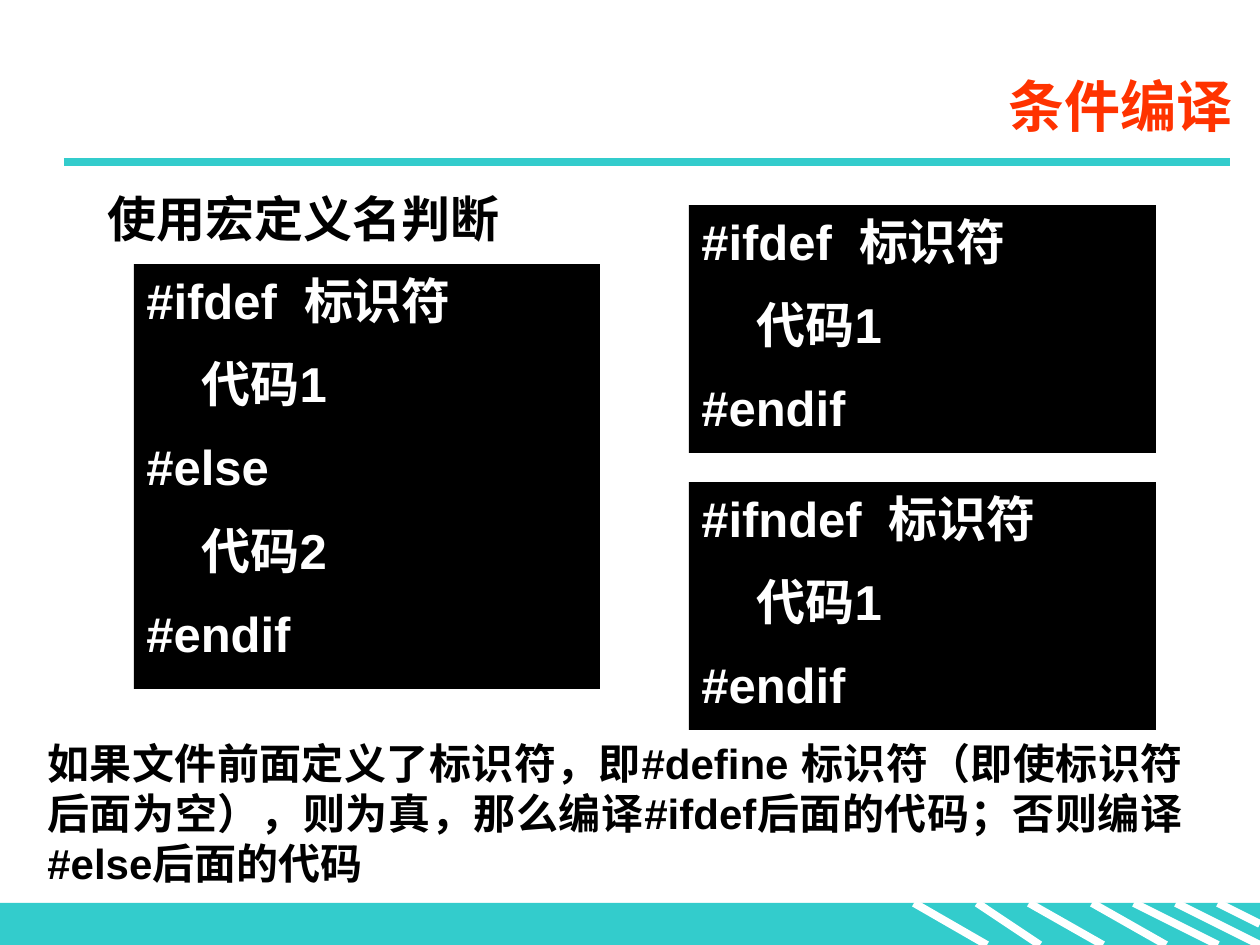
from dataclasses import dataclass

from lxml import etree
from pptx import Presentation
from pptx.dml.color import RGBColor
from pptx.enum.shapes import MSO_CONNECTOR, MSO_SHAPE
from pptx.enum.text import MSO_ANCHOR, MSO_AUTO_SIZE, PP_ALIGN
from pptx.oxml.ns import qn
from pptx.util import Emu, Pt

RECTANGLE = MSO_SHAPE.RECTANGLE
STRAIGHT = MSO_CONNECTOR.STRAIGHT
TOP, MIDDLE = MSO_ANCHOR.TOP, MSO_ANCHOR.MIDDLE
LEFT, RIGHT, JUSTIFY = PP_ALIGN.LEFT, PP_ALIGN.RIGHT, PP_ALIGN.JUSTIFY
NO_FIT = MSO_AUTO_SIZE.NONE

PX_PER_INCH = 126
PAGE_WIDTH, PAGE_HEIGHT = 1260, 945
FOOTER_TOP = 903


@dataclass(frozen=True)
class Theme:
    font: str = "Arial"
    accent: str = "33CCCC"
    title: str = "FF3300"
    dark: str = "000000"
    light: str = "FFFFFF"
    title_size: int = 32
    code_size: int = 28
    note_size: int = 24
    rule_width: float = 4.5


@dataclass(frozen=True)
class Area:
    left: int
    top: int
    width: int
    height: int


@dataclass(frozen=True)
class CodeBlock:
    area: Area
    lines: tuple[str, ...]


@dataclass(frozen=True)
class Stripe:
    left: int
    right: int
    bottom: int = PAGE_HEIGHT


THEME = Theme()

STRIPES = (
    Stripe(914, 987),
    Stripe(977, 1040),
    Stripe(1029, 1103),
    Stripe(1092, 1166),
    Stripe(1134, 1218),
    Stripe(1176, PAGE_WIDTH),
    Stripe(1218, PAGE_WIDTH, 924),
)

CODE_BLOCKS = (
    CodeBlock(Area(134, 264, 466, 425),
              ("#ifdef  标识符", "     代码1", "#else", "     代码2", "#endif")),
    CodeBlock(Area(689, 205, 467, 248),
              ("#ifdef  标识符", "     代码1", "#endif")),
    CodeBlock(Area(689, 482, 467, 248),
              ("#ifndef  标识符", "     代码1", "#endif")),
)

NOTE = ("如果文件前面定义了标识符，即#define 标识符（即使标识符后面为空），"
        "则为真，那么编译#ifdef后面的代码；否则编译#else后面的代码")


def px(value: int) -> Emu:
    return Emu(round(value * 914400 / PX_PER_INCH))


def color(value: str) -> RGBColor:
    return RGBColor.from_string(value)


def place(box, area: Area) -> None:
    box.left, box.top = px(area.left), px(area.top)
    box.width, box.height = px(area.width), px(area.height)


def write(box, lines: tuple[str, ...], *, size: int, ink: str,
          align=LEFT, anchor=TOP, gap: int = 0) -> None:
    frame = box.text_frame
    frame.word_wrap = True
    frame.auto_size = NO_FIT
    frame.vertical_anchor = anchor
    for index, line in enumerate(lines):
        para = frame.paragraphs[0] if index == 0 else frame.add_paragraph()
        properties = para._p.get_or_add_pPr()
        properties.set("marL", "0")
        properties.set("indent", "0")
        etree.SubElement(properties, qn("a:buNone"))
        para.alignment = align
        para.space_before = Pt(gap if index else 0)
        span = para.add_run()
        span.text = line
        span.font.name = THEME.font
        span.font.size = Pt(size)
        span.font.bold = True
        span.font.color.rgb = color(ink)


def add_rectangle(page, area: Area, fill: str):
    box = page.shapes.add_shape(RECTANGLE, px(area.left), px(area.top),
                                px(area.width), px(area.height))
    box.shadow.inherit = False
    box.fill.solid()
    box.fill.fore_color.rgb = color(fill)
    box.line.fill.background()
    return box


def add_rule(page, start: tuple[int, int], end: tuple[int, int], ink: str) -> None:
    rule = page.shapes.add_connector(STRAIGHT, *map(px, start + end))
    rule.line.color.rgb = color(ink)
    rule.line.width = Pt(THEME.rule_width)
    etree.SubElement(rule._element.spPr, qn("a:effectLst"))


def add_code(page, block: CodeBlock) -> None:
    box = add_rectangle(page, block.area, THEME.dark)
    write(box, block.lines, size=THEME.code_size, ink=THEME.light,
          gap=THEME.code_size // 2)


def main() -> None:
    deck = Presentation()
    deck.slide_width, deck.slide_height = px(PAGE_WIDTH), px(PAGE_HEIGHT)
    page = deck.slides.add_slide(deck.slide_layouts[1])

    # Footer band with slanted stripes, and the rule under the title
    add_rectangle(page, Area(0, FOOTER_TOP, PAGE_WIDTH, PAGE_HEIGHT - FOOTER_TOP),
                  THEME.accent)
    for stripe in STRIPES:
        add_rule(page, (stripe.left, FOOTER_TOP), (stripe.right, stripe.bottom),
                 THEME.light)
    add_rule(page, (64, 162), (1230, 162), THEME.accent)

    # Title and subheading
    title, body = page.shapes.title, page.placeholders[1]
    place(title, Area(174, 55, 1071, 100))
    write(title, ("条件编译",), size=THEME.title_size, ink=THEME.title,
          align=RIGHT, anchor=MIDDLE)
    place(body, Area(95, 182, 1071, 635))
    write(body, ("使用宏定义名判断",), size=THEME.code_size, ink=THEME.dark)

    # Code blocks
    for block in CODE_BLOCKS:
        add_code(page, block)

    # Explanation
    note = page.shapes.add_textbox(px(35), px(731), px(1160), px(165))
    write(note, (NOTE,), size=THEME.note_size, ink=THEME.dark, align=JUSTIFY)

    deck.save("out.pptx")


if __name__ == "__main__":
    main()
